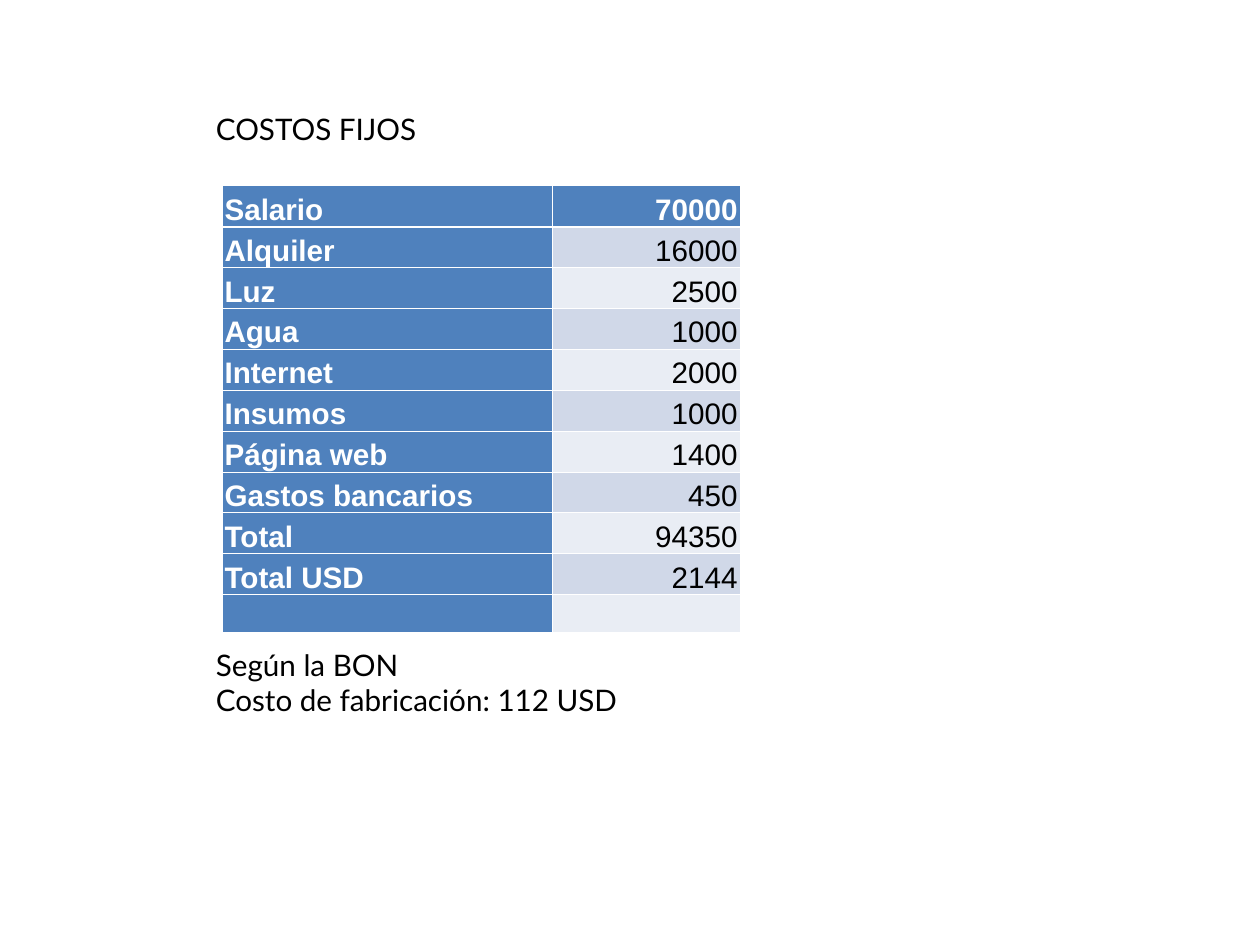
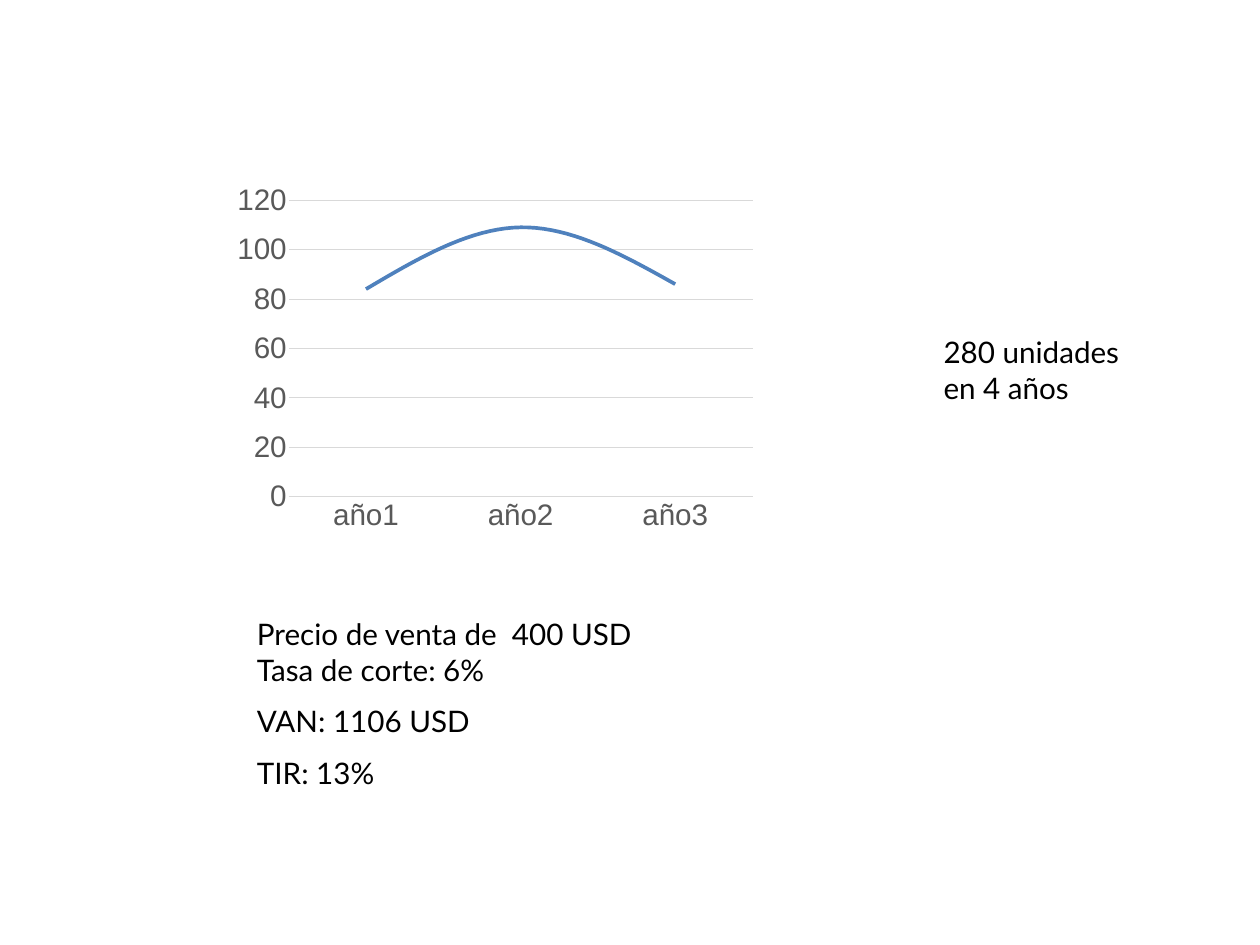
from dataclasses import dataclass
from pptx import Presentation
from pptx import util as u
from pptx.chart import data as cd
from pptx.dml import color
from pptx.enum import chart as ch, text
from pptx.oxml import parse_xml
from pptx.oxml import ns

Pt = u.Pt


def rgb(code):
    return color.RGBColor.from_string(code)


@dataclass(frozen=True)
class Theme:
    ink: str = "000000"
    paper: str = "FFFFFF"
    blue: str = "4F81BD"
    bands: tuple = ("E9EDF4", "D0D8E8")
    label: str = "595959"
    grid: str = "D9D9D9"
    size: int = 40
    gap: float = 21.6
    body: str = "Lato"
    data: str = "Arial"


class Deck:
    def __init__(self, theme):
        self.theme = theme
        self.prs = Presentation()
        self.prs.slide_width = Pt(1700.79)
        self.prs.slide_height = Pt(1275.59)
        self.slide = None

    def page(self):
        self.slide = self.prs.slides.add_slide(self.prs.slide_layouts[6])

    def font(self, font, face, tint, bold=False):
        font.name = face
        font.size = Pt(self.theme.size)
        font.bold = bold
        font.color.rgb = rgb(tint)

    def text(self, box, lines, spaced=()):
        frame = self.slide.shapes.add_textbox(*map(Pt, box)).text_frame
        frame.word_wrap = True
        frame.text = "\n".join(lines)
        for i, para in enumerate(frame.paragraphs):
            if i in spaced:
                para.space_before = Pt(self.theme.gap)
            self.font(para.font, self.theme.body, self.theme.ink)

    def edges(self, cell, base):
        props = cell._tc.get_or_add_tcPr()
        for side, width in (("L", 1), ("R", 1), ("T", 1), ("B", base)):
            props.append(parse_xml(
                f'<a:ln{side} {ns.nsdecls("a")} w="{Pt(width)}"><a:solidFill>'
                f'<a:srgbClr val="{self.theme.paper}"/></a:solidFill></a:ln{side}>'))

    def cell(self, cell, word, fill, head, right, base):
        self.edges(cell, base)
        cell.fill.solid()
        cell.fill.fore_color.rgb = rgb(fill)
        cell.margin_left = cell.margin_right = Pt(3.6)
        cell.margin_top = cell.margin_bottom = 0
        cell.vertical_anchor = text.MSO_ANCHOR.BOTTOM
        cell.text = word
        para = cell.text_frame.paragraphs[0]
        para.line_spacing = 1.15
        para.alignment = text.PP_ALIGN.RIGHT if right else text.PP_ALIGN.LEFT
        tint = self.theme.paper if head else self.theme.ink
        self.font(para.font, self.theme.data, tint, head)

    def table(self, left, top, widths, height, rows):
        grid = self.slide.shapes.add_table(
            len(rows), len(widths), Pt(left), Pt(top),
            Pt(sum(widths)), Pt(height * len(rows))).table
        for col, width in zip(grid.columns, widths):
            col.width = Pt(width)
        for r, row in enumerate(rows):
            grid.rows[r].height = Pt(height)
            for c, word in enumerate(row):
                head = r == 0 or c == 0
                fill = self.theme.blue if head else self.theme.bands[r % 2]
                self.cell(grid.cell(r, c), word, fill, head, c > 0, 3 if r == 0 else 1)

    def chart(self, box, cats, name, vals):
        data = cd.CategoryChartData()
        data.categories = cats
        data.add_series(name, vals)
        chart = self.slide.shapes.add_chart(
            ch.XL_CHART_TYPE.LINE, *map(Pt, box), data).chart
        chart.has_legend = False
        chart.has_title = False
        self.font(chart.font, self.theme.data, self.theme.ink)
        plot = chart.plots[0]
        plot.vary_by_categories = False
        line = plot.series[0]
        line.smooth = True
        line.marker.style = ch.XL_MARKER_STYLE.NONE
        line.format.line.color.rgb = rgb(self.theme.blue)
        line.format.line.width = Pt(5)
        for axis in (chart.category_axis, chart.value_axis):
            axis.major_tick_mark = axis.minor_tick_mark = ch.XL_TICK_MARK.NONE
            self.font(axis.tick_labels.font, self.theme.data, self.theme.label)
        scale = chart.value_axis
        scale.minimum_scale, scale.maximum_scale, scale.major_unit = 0, 120, 20
        scale.format.line.fill.background()
        scale.has_major_gridlines = True
        for stroke in (chart.category_axis.format.line, scale.major_gridlines.format.line):
            stroke.color.rgb = rgb(self.theme.grid)
            stroke.width = Pt(0.75)


def main():
    deck = Deck(Theme())

    deck.page()
    deck.text((284.4, 146.2, 334.8, 53.3), ["COSTOS FIJOS"])
    deck.table(299.5, 250.6, (446, 253.6), 51.4, [
        ("Salario", "70000"),
        ("Alquiler", "16000"),
        ("Luz", "2500"),
        ("Agua", "1000"),
        ("Internet", "2000"),
        ("Insumos", "1000"),
        ("Página web", "1400"),
        ("Gastos bancarios", "450"),
        ("Total", "94350"),
        ("Total USD", "2144"),
        ("", ""),
    ])
    deck.text((284.4, 869, 662.4, 100), ["Según la BON", "Costo de fabricación: 112 USD"])

    deck.page()
    deck.chart((306, 238.3, 724.3, 488.9), ["año1", "año2", "año3"],
               "Series 1", (84, 109, 86))
    deck.text((339.8, 828, 672.5, 254.9),
              ["Precio de venta de  400 USD", "Tasa de corte: 6%",
               "VAN: 1106 USD", "TIR: 13%"], spaced=(2, 3))
    deck.text((1266.5, 447.8, 298, 100), ["280 unidades", "en 4 años"])

    deck.prs.save("out.pptx")


if __name__ == "__main__":
    main()
